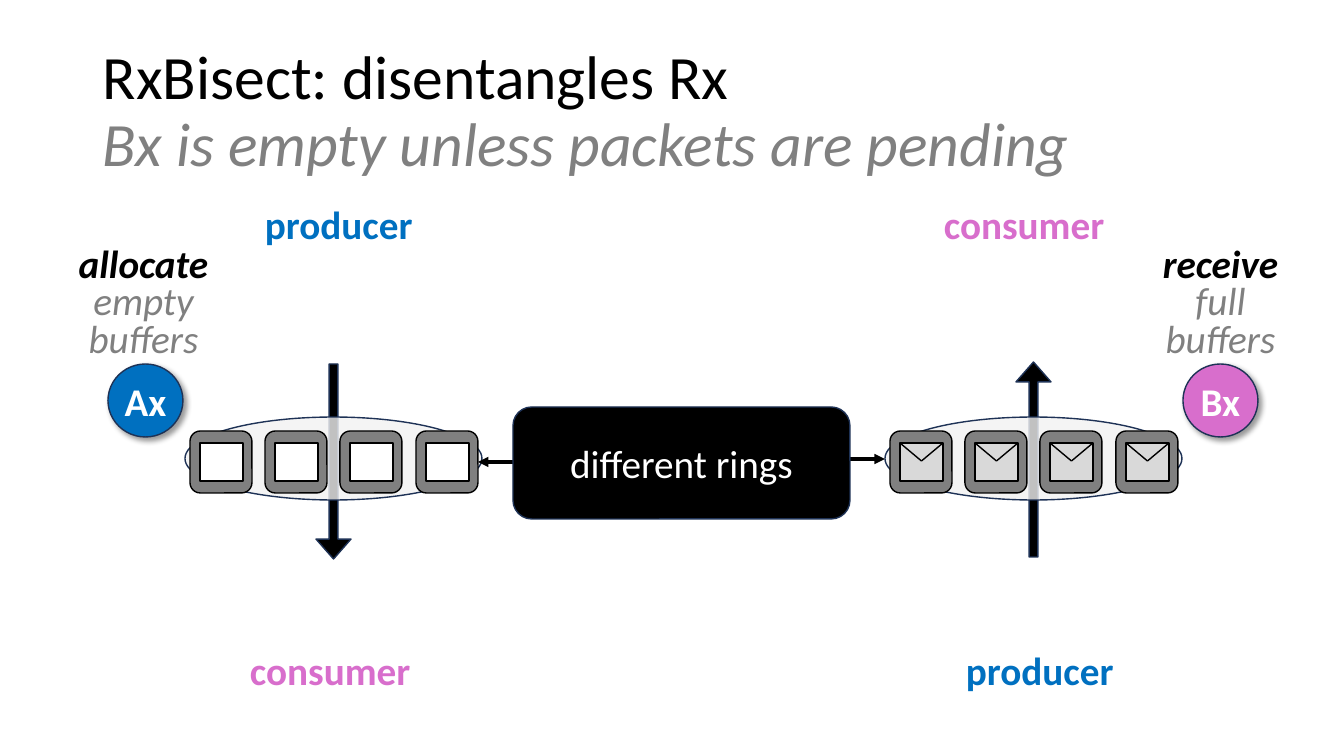
from lxml.etree import SubElement
from pptx import Presentation
from pptx.dml.color import RGBColor
from pptx.enum.shapes import MSO_CONNECTOR as LINK, MSO_SHAPE as SHAPE
from pptx.enum.text import MSO_ANCHOR as ANCHOR, MSO_AUTO_SIZE as FIT, PP_ALIGN as ALIGN
from pptx.oxml.ns import qn
from pptx.util import Pt

# Content: lengths in px, 100.8 px to the inch
PX = 914400 / 100.8
BLACK, WHITE, GRAY, NAVY = "000000", "FFFFFF", "808080", "1E3256"
BLUE, PINK = "0070C0", "D86ECC"

TITLE = [("RxBisect: disentangles Rx", {"color": BLACK}),
         ("Bx is empty unless packets are pending", {"color": GRAY, "italic": True})]
ROLES = [("producer", BLUE, (255, 195, 184, 57)), ("consumer", PINK, (240, 641, 203, 57)),
         ("consumer", PINK, (934, 195, 203, 57)), ("producer", BLUE, (956, 641, 184, 57))]
ACTIONS = [("allocate", ("empty", "buffers"), (60, 243, 167, 126)),
           ("receive", ("full", "buffers"), (1144, 243, 153, 126))]
BADGES = [("Ax", BLUE, 108), ("Bx", PINK, 1183)]
# ring left edge, arrow top, arrow rotation, buffer fill, holds packets
RINGS = [(185, 364, 180, WHITE, False), (885, 362, 0, "D9D9D9", True)]
SLOTS, SLOT_SPAN = 4, 226
SLOT_TOP, SLOT_SIZE = 431, 62
HUB_TEXT, HUB_BOX = "different rings", (513, 407, 337, 112)

prs = Presentation()
prs.slide_width, prs.slide_height = round(1344 * PX), round(756 * PX)
slide = prs.slides.add_slide(prs.slide_layouts[6])


def emu(*lengths):
    return [round(length * PX) for length in lengths]


def rgb(color):
    return RGBColor.from_string(color)


def add_text(holder, runs, size=28, align=ALIGN.LEFT, spacing=None, anchor=ANCHOR.TOP,
             wrap=True):
    """Write the runs as lines of one paragraph."""
    frame = holder.text_frame
    frame.word_wrap, frame.vertical_anchor = wrap, anchor
    paragraph = frame.paragraphs[0]
    paragraph.alignment = align
    if spacing:
        paragraph.line_spacing = spacing
    for number, (text, look) in enumerate(runs):
        if number:
            paragraph.add_line_break()
        run = paragraph.add_run()
        run.text = text
        font = run.font
        font.name, font.size = "Calibri", Pt(size)
        font.color.rgb = rgb(look["color"])
        font.bold, font.italic = look.get("bold", False), look.get("italic", False)
    return frame


def add_label(box, runs, **look):
    label = slide.shapes.add_textbox(*emu(*box))
    return add_text(label, runs, **look)


def add_part(kind, box, fill, line=NAVY):
    part = slide.shapes.add_shape(kind, *emu(*box))
    part.shadow.inherit = False
    part.fill.solid()
    part.fill.fore_color.rgb = rgb(fill)
    part.line.color.rgb = rgb(line)
    part.line.width = Pt(1)
    return part


def add_line(start, end, width=1, arrow=False):
    link = slide.shapes.add_connector(LINK.STRAIGHT, *emu(*start, *end))
    link.line.color.rgb = rgb(BLACK)
    link.line.width = Pt(width)
    if arrow:
        SubElement(link.line._get_or_add_ln(), qn("a:tailEnd"), type="triangle")
    SubElement(link._element.spPr, qn("a:effectLst"))
    return link


def add_ring(left, arrow_top, rotation, buffer_fill, has_packets):
    """Draw a ring with its flow arrow and slots; return the last slot."""
    flow = add_part(SHAPE.UP_ARROW, (left + 131, arrow_top, 35, 195), BLACK)
    flow.adjustments[0], flow.adjustments[1] = 0.25, 0.57
    flow.rotation = rotation
    oval = add_part(SHAPE.OVAL, (left, 417, 297, 83), "F2F2F2")
    color = oval.fill._xPr.find(qn("a:solidFill"))[0]
    SubElement(color, qn("a:alpha"), val="80000")
    for i in range(SLOTS):
        x = left + 5 + SLOT_SPAN * i // (SLOTS - 1)
        slot = add_part(SHAPE.ROUNDED_RECTANGLE, (x, SLOT_TOP, SLOT_SIZE, SLOT_SIZE), GRAY, BLACK)
        x, y, width = x + 10, SLOT_TOP + 12, 43
        add_part(SHAPE.RECTANGLE, (x, y, width, 38), buffer_fill, BLACK)
        if has_packets:
            tip = (x + width / 2, y + 18)
            add_line((x, y), tip)
            add_line(tip, (x + width, y))
    return slot


# Title, role labels and actions
add_label((93, 40, 1159, 146), TITLE, size=44, spacing=0.9, anchor=ANCHOR.MIDDLE)
for role, color, box in ROLES:
    frame = add_label(box, [(role, {"color": color, "bold": True})], wrap=False)
    frame.auto_size = FIT.SHAPE_TO_FIT_TEXT
for action, details, box in ACTIONS:
    runs = [(action, {"color": BLACK, "bold": True, "italic": True})]
    runs += [(detail, {"color": GRAY, "italic": True}) for detail in details]
    frame = add_label(box, runs, align=ALIGN.CENTER, spacing=0.8, wrap=False)
    frame.auto_size = FIT.SHAPE_TO_FIT_TEXT

# Rings, and the hub that points at both
ax_last_slot, _ = [add_ring(*ring) for ring in RINGS]
to_ax = add_line((556, 462), (478, 462), width=2.5, arrow=True)
to_ax.end_connect(ax_last_slot, 3)
add_line((800, 459), (885, 459), width=2.5, arrow=True)
hub = add_part(SHAPE.ROUNDED_RECTANGLE, HUB_BOX, BLACK)
add_text(hub, [(HUB_TEXT, {"color": WHITE})], align=ALIGN.CENTER, anchor=ANCHOR.MIDDLE)

# Badges with a soft shadow
for name, color, left in BADGES:
    badge = add_part(SHAPE.OVAL, (left, 364, 75, 73), color)
    frame = add_text(badge, [(name, {"color": WHITE, "bold": True})],
                     align=ALIGN.CENTER, anchor=ANCHOR.MIDDLE)
    frame.margin_left = frame.margin_right = 0
    effects = badge._element.spPr.find(qn("a:effectLst"))
    shadow = SubElement(effects, qn("a:outerShdw"), blurRad=str(Pt(4)), dist=str(Pt(3)),
                        dir="2700000", algn="tl", rotWithShape="0")
    tint = SubElement(shadow, qn("a:srgbClr"), val=BLACK)
    SubElement(tint, qn("a:alpha"), val="40000")

prs.save("out.pptx")
